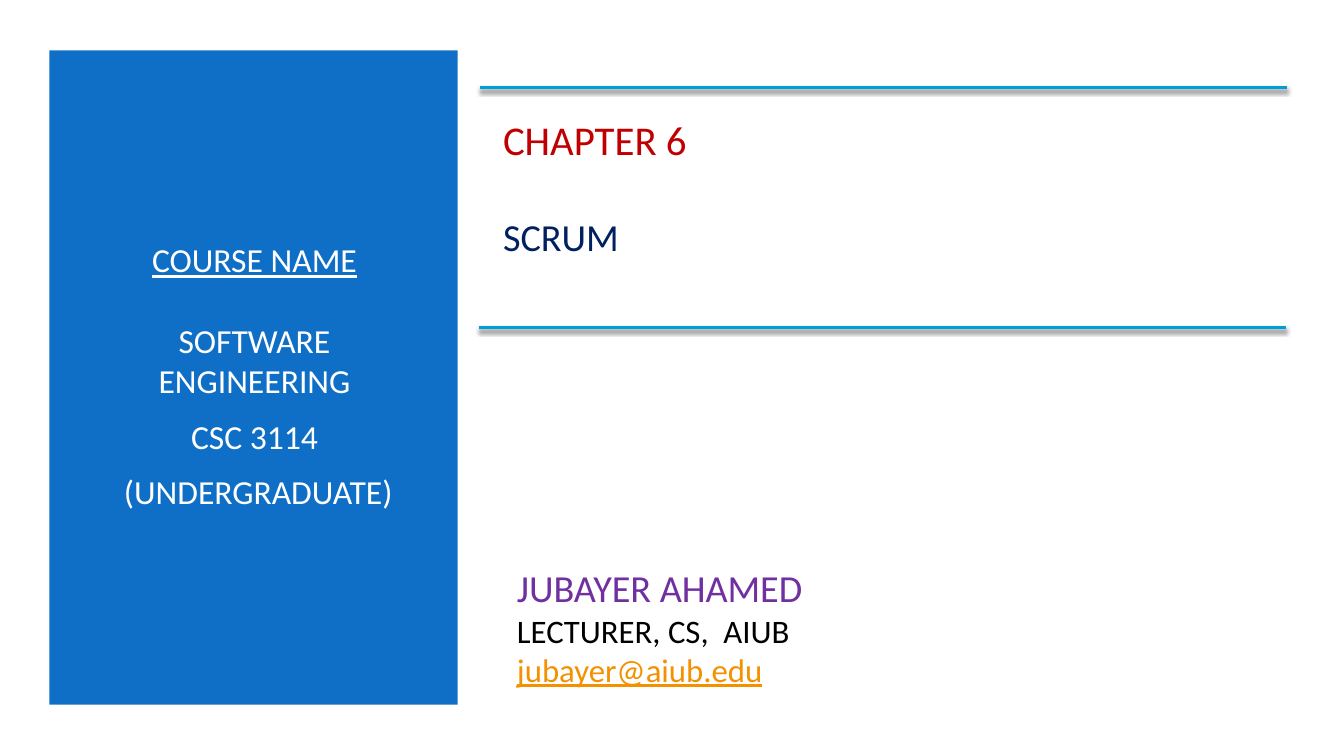
from dataclasses import dataclass

from lxml import etree
from pptx import Presentation
from pptx import util as u
from pptx.dml.color import RGBColor
from pptx.enum import shapes, text
from pptx.oxml import ns

COLOURS = {
    "white": "FFFFFF",
    "panel": "0F6FC6",
    "rule": "009DD9",
    "chapter": "C00000",
    "topic": "002060",
    "author": "7030A0",
    "body": "000000",
    "email": "F49100",
}
FONT = "Calibri"


@dataclass(frozen=True)
class Area:
    left: float
    top: float
    width: float
    height: float


@dataclass(frozen=True)
class Panel:
    area: Area
    colour: str


@dataclass(frozen=True)
class Rule:
    left: float
    top: float


PANELS = [
    Panel(Area(0, 0, 960, 540), "white"),
    Panel(Area(35.3, 36, 291.6, 467.3), "panel"),
]
RULES = [Rule(342.7, 62.6), Rule(342, 234)]
RULE_LENGTH = 576.7
COURSE_AREA = Area(60.5, 79.2, 242.6, 378)
TITLE_AREA = Area(352.1, 79.2, 565.2, 108.7)
AUTHOR_AREA = Area(362.2, 391.7, 479.5, 112.3)


def colour(name: str) -> RGBColor:
    return RGBColor.from_string(COLOURS[name])


def place(box, area: Area) -> None:
    box.left, box.top = u.Pt(area.left), u.Pt(area.top)
    box.width, box.height = u.Pt(area.width), u.Pt(area.height)


def prepare(box, area: Area) -> None:
    place(box, area)
    frame = box.text_frame
    frame.word_wrap = True
    frame.auto_size = text.MSO_AUTO_SIZE.NONE
    frame.vertical_anchor = text.MSO_ANCHOR.MIDDLE


def write(box, words: str, *, size: float, fill: str, align=text.PP_ALIGN.LEFT,
          underline: bool = False, before: float = 0, after: float = 0) -> None:
    frame = box.text_frame
    para = frame.paragraphs[0] if not frame.text else frame.add_paragraph()
    para.alignment = align
    para.space_before, para.space_after = u.Pt(before), u.Pt(after)
    span = para.add_run()
    span.text = words
    span.font.name, span.font.size = FONT, u.Pt(size)
    span.font.underline = underline
    span.font.color.rgb = colour(fill)


def draw_panel(page, panel: Panel, depth: int) -> None:
    area = panel.area
    box = page.shapes.add_shape(
        shapes.MSO_SHAPE.RECTANGLE, u.Pt(area.left), u.Pt(area.top),
        u.Pt(area.width), u.Pt(area.height))
    box.shadow.inherit = False
    box.fill.solid()
    box.fill.fore_color.rgb = colour(panel.colour)
    box.line.fill.background()
    page.shapes.element.insert(2 + depth, box.element)


def draw_rule(page, rule: Rule) -> None:
    line = page.shapes.add_connector(
        shapes.MSO_CONNECTOR.STRAIGHT, u.Pt(rule.left), u.Pt(rule.top),
        u.Pt(rule.left + RULE_LENGTH), u.Pt(rule.top))
    line.line.color.rgb = colour("rule")
    line.line.width = u.Pt(2)
    effects = etree.SubElement(line.element.spPr, ns.qn("a:effectLst"))
    shadow = etree.SubElement(
        effects, ns.qn("a:outerShdw"), blurRad=str(u.Pt(3)),
        dist=str(u.Pt(2)), dir="5400000", algn="ctr", rotWithShape="0")
    tint = etree.SubElement(shadow, ns.qn("a:srgbClr"), val=COLOURS["body"])
    etree.SubElement(tint, ns.qn("a:alpha"), val="55000")


def main() -> None:
    deck = Presentation()
    deck.slide_width, deck.slide_height = u.Pt(960), u.Pt(540)
    page = deck.slides.add_slide(deck.slide_layouts[0])

    for depth, panel in enumerate(PANELS):
        draw_panel(page, panel, depth)

    course = page.placeholders[1]
    prepare(course, COURSE_AREA)
    centre = text.PP_ALIGN.CENTER
    write(course, "COURSE NAME", size=24, fill="white", align=centre,
          underline=True, after=24)
    for words in ("SOFTWARE ENGINEERING", "CSC 3114", " (UNDERGRADUATE)"):
        write(course, words, size=24, fill="white", align=centre,
              before=4.8, after=6)

    title = page.shapes.title
    prepare(title, TITLE_AREA)
    write(title, "CHAPTER 6", size=29.2, fill="chapter", after=35.6)
    write(title, "SCRUM", size=27.3, fill="topic")

    author = page.shapes.add_textbox(0, 0, 0, 0)
    prepare(author, AUTHOR_AREA)
    write(author, "JUBAYER AHAMED", size=27.3, fill="author")
    write(author, "LECTURER, CS,  AIUB", size=23.4, fill="body")
    write(author, "jubayer@aiub.edu", size=23.4, fill="email", underline=True)

    for rule in RULES:
        draw_rule(page, rule)
    deck.save("out.pptx")


if __name__ == "__main__":
    main()
